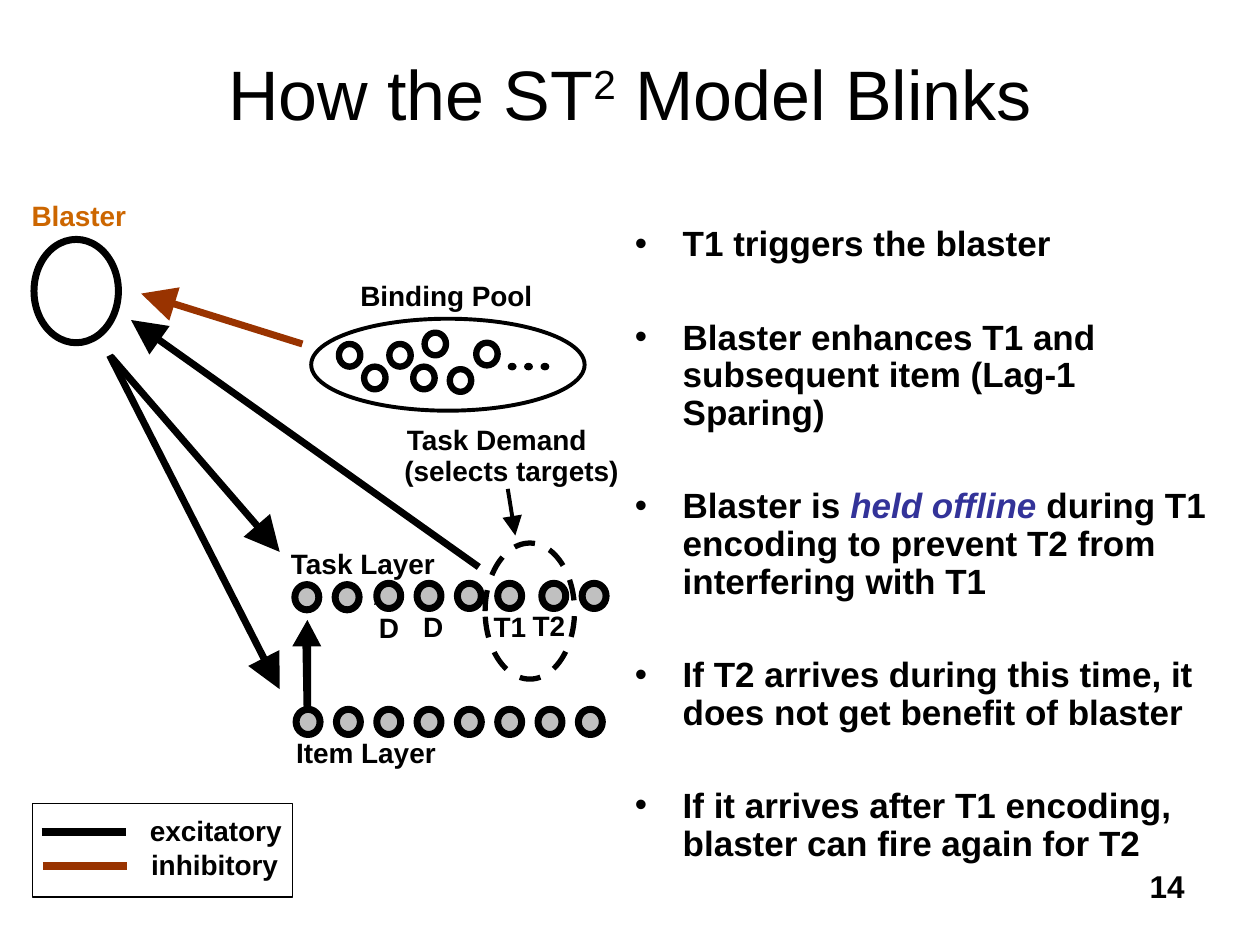
"""Build the slide on how the ST2 model blinks."""
from typing import NamedTuple

from lxml import etree
from pptx import Presentation
from pptx.dml.color import RGBColor
from pptx.enum.dml import MSO_LINE
from pptx.enum.shapes import MSO_CONNECTOR, MSO_SHAPE
from pptx.enum.text import MSO_ANCHOR, MSO_AUTO_SIZE, PP_ALIGN
from pptx.oxml.ns import qn
from pptx.util import Inches, Pt

OVAL, RECT = MSO_SHAPE.OVAL, MSO_SHAPE.RECTANGLE
LINE, DASH = MSO_CONNECTOR.STRAIGHT, MSO_LINE.DASH
LEFT, MID, RIGHT = PP_ALIGN.LEFT, PP_ALIGN.CENTER, PP_ALIGN.RIGHT
CORE, FIXED = MSO_ANCHOR.MIDDLE, MSO_AUTO_SIZE.NONE
FACE = "Arial"
BLACK, WHITE, GREY, RUST = "000000", "FFFFFF", "C0C0C0", "993300"
NODE_W, NODE_H, STEP = 0.19, 0.2, 0.32


class Run(NamedTuple):
    text: str
    size: float = 16
    bold: bool = True
    ink: str = BLACK
    slant: bool = False
    rise: int = 0


class Label(NamedTuple):
    text: str
    x: float
    y: float
    w: float
    h: float = 0.27
    ink: str = BLACK


class Arrow(NamedTuple):
    x1: float
    y1: float
    x2: float
    y2: float
    width: float = 4
    ink: str = BLACK
    head: bool = True


class Shape(NamedTuple):
    x: float
    y: float
    w: float
    h: float
    width: float = 4
    fill: str = ""
    kind: int = OVAL
    dash: bool = False


LABELS = [
    Label("excitatory", 1.09, 6.41, 1.28, 0.37),
    Label("inhibitory", 1.1, 6.68, 1.25, 0.37),
    Label("Blaster", 0.25, 1.58, 0.79, ink="CC6600"),
    Label("Task Demand", 3.23, 3.35, 1.48),
    Label("(selects targets)", 3.21, 3.6, 1.74),
    Label("Binding Pool", 2.86, 2.21, 1.41),
    Label("Task Layer", 2.31, 4.34, 1.26),
    Label("Item Layer", 2.35, 5.84, 1.15),
    Label("T1", 3.82, 4.79, 0.5, 0.37),
    Label("T2", 4.13, 4.78, 0.5, 0.37),
    Label("D", 2.91, 4.8, 0.4, 0.37),
    Label("D", 3.26, 4.79, 0.4, 0.37),
]
ARROWS = [
    Arrow(0.33, 6.6, 1, 6.6, 4.5, head=False),
    Arrow(0.34, 6.87, 1.01, 6.87, 4.5, RUST, False),
    Arrow(4.03, 3.88, 4.09, 4.25, 2.25),
    Arrow(3.8, 4.5, 1.04, 2.54),
    Arrow(0.88, 2.83, 2.22, 4.38),
    Arrow(0.87, 2.82, 2.22, 5.47),
    Arrow(2.4, 2.73, 1.12, 2.33, ink=RUST),
]
POOL = [(3.09, 2.73), (2.69, 2.73), (2.89, 2.91), (3.28, 2.91),
        (3.37, 2.64), (3.57, 2.93), (3.78, 2.72)]
TASKS = [(2.34, 4.64), (2.66, 4.64), (2.99, 4.63), (3.31, 4.63),
         (3.63, 4.63), (3.95, 4.63), (4.3, 4.63), (4.62, 4.63)]
ITEMS = [(2.35 + STEP * i, 5.63) for i in range(8)]
SHAPES = [
    Shape(0.26, 6.38, 2.06, 0.74, 0.75, kind=RECT),
    Shape(0.27, 1.9, 0.67, 0.82),
    Shape(2.47, 2.53, 2.17, 0.73, 2.25),
    *[Shape(x, y, 0.17, 0.18, 3.63, WHITE) for x, y in POOL],
    *[Shape(4.03 + 0.13 * i, 2.88, 0.07, 0.06, 0, BLACK) for i in range(3)],
    *[Shape(x, y, NODE_W, NODE_H, 4, GREY) for x, y in TASKS + ITEMS],
    Shape(3.85, 4.31, 0.71, 1.08, 3, dash=True),
]
POLYS = [
    [(2.41, 5.64), (2.47, 5.64), (2.47, 5.08), (2.4, 5.08)],
    [(2.55, 5.13), (2.44, 4.92), (2.32, 5.13)],
    [(2.97, 4.8), (2.98, 4.8), (3, 4.76), (2.99, 4.75), (2.98, 4.76)],
    [(2.99, 4.73), (3, 4.73), (3.01, 4.71), (2.99, 4.67)],
]
TITLE = [Run("How the ST", 40, False), Run("2", 40, False, rise=30000),
         Run(" Model Blinks", 40, False)]
POINTS = [
    [Run("T1 triggers the blaster", 20)],
    [Run("Blaster enhances T1 and subsequent item (Lag-1 Sparing)", 20)],
    [Run("Blaster is ", 20), Run("held offline", 20, ink="333399", slant=True),
     Run(" during T1 encoding to prevent T2 from interfering with T1", 20)],
    [Run("If T2 arrives during this time, it does not get benefit of blaster", 20)],
    [Run("If it arrives after T1 encoding, blaster can fire again for T2", 20)],
]


def tint(code: str) -> RGBColor:
    """Turn a hex string into a colour."""
    return RGBColor.from_string(code)


def add_box(slide, x: float, y: float, w: float, h: float):
    """Add a wrapping text box and return its frame."""
    frame = slide.shapes.add_textbox(Inches(x), Inches(y), Inches(w), Inches(h)).text_frame
    frame.word_wrap = True
    return frame


def add_runs(para, runs: list[Run], align=LEFT) -> None:
    """Write styled runs into a paragraph."""
    para.alignment = align
    for item in runs:
        run = para.add_run()
        run.text = item.text
        font = run.font
        font.name, font.size = FACE, Pt(item.size)
        font.bold, font.italic = item.bold, item.slant
        font.color.rgb = tint(item.ink)
        if item.rise:
            run._r.get_or_add_rPr().set("baseline", str(item.rise))


def add_points(frame) -> None:
    """Write the bulleted list with even gaps."""
    for i, runs in enumerate(POINTS):
        para = frame.add_paragraph() if i else frame.paragraphs[0]
        props = para._p.get_or_add_pPr()
        props.set("marL", str(Inches(0.38)))
        props.set("indent", str(-Inches(0.38)))
        etree.SubElement(props, qn("a:buFont")).set("typeface", FACE)
        etree.SubElement(props, qn("a:buChar")).set("char", "•")
        para.line_spacing = 0.9
        para.space_before = Pt(31.6 if i else 0)
        add_runs(para, runs)


def add_label(slide, item: Label) -> None:
    """Add a one-line label; short boxes have no insets."""
    frame = add_box(slide, item.x, item.y, item.w, item.h)
    frame.auto_size = FIXED
    if item.h < 0.3:
        frame.margin_left = frame.margin_right = 0
        frame.margin_top = frame.margin_bottom = 0
    add_runs(frame.paragraphs[0], [Run(item.text, ink=item.ink)])


def paint(shape, fill: str, width: float) -> None:
    """Set the fill and black outline of a shape."""
    shape.shadow.inherit = False
    if fill:
        shape.fill.solid()
        shape.fill.fore_color.rgb = tint(fill)
    else:
        shape.fill.background()
    if width:
        shape.line.color.rgb = tint(BLACK)
        shape.line.width = Pt(width)
    else:
        shape.line.fill.background()


def add_shape(slide, item: Shape) -> None:
    """Add an oval or a rectangle."""
    shape = slide.shapes.add_shape(item.kind, *map(Inches, item[:4]))
    paint(shape, item.fill, item.width)
    if item.dash:
        shape.line.dash_style = DASH


def add_poly(slide, points: list[tuple[float, float]]) -> None:
    """Add a closed black outline."""
    first, *rest = [(Inches(x), Inches(y)) for x, y in points]
    build = slide.shapes.build_freeform(*first)
    build.add_line_segments(rest)
    paint(build.convert_to_shape(), BLACK, 0)


def add_arrow(slide, item: Arrow) -> None:
    """Add a straight line, with a large head if asked."""
    link = slide.shapes.add_connector(LINE, *map(Inches, item[:4]))
    link.line.color.rgb = tint(item.ink)
    link.line.width = Pt(item.width)
    if item.head:
        etree.SubElement(link.line._get_or_add_ln(), qn("a:tailEnd"),
                         type="triangle", w="lg", len="lg")
    etree.SubElement(link._element.spPr, qn("a:effectLst"))


def main() -> None:
    """Build and save the slide."""
    deck = Presentation()
    deck.slide_width, deck.slide_height = Inches(10), Inches(7.5)
    slide = deck.slides.add_slide(deck.slide_layouts[6])
    title = add_box(slide, 0.5, 0.11, 9, 1.25)
    title.vertical_anchor = CORE
    add_runs(title.paragraphs[0], TITLE, MID)
    add_points(add_box(slide, 4.94, 1.75, 4.77, 5.23))
    for draw, items in ((add_shape, SHAPES), (add_poly, POLYS),
                        (add_arrow, ARROWS), (add_label, LABELS)):
        for item in items:
            draw(slide, item)
    number = add_box(slide, 7.17, 6.83, 2.33, 0.52)
    add_runs(number.paragraphs[0], [Run("14", 18)], RIGHT)
    deck.save("out.pptx")


if __name__ == "__main__":
    main()
